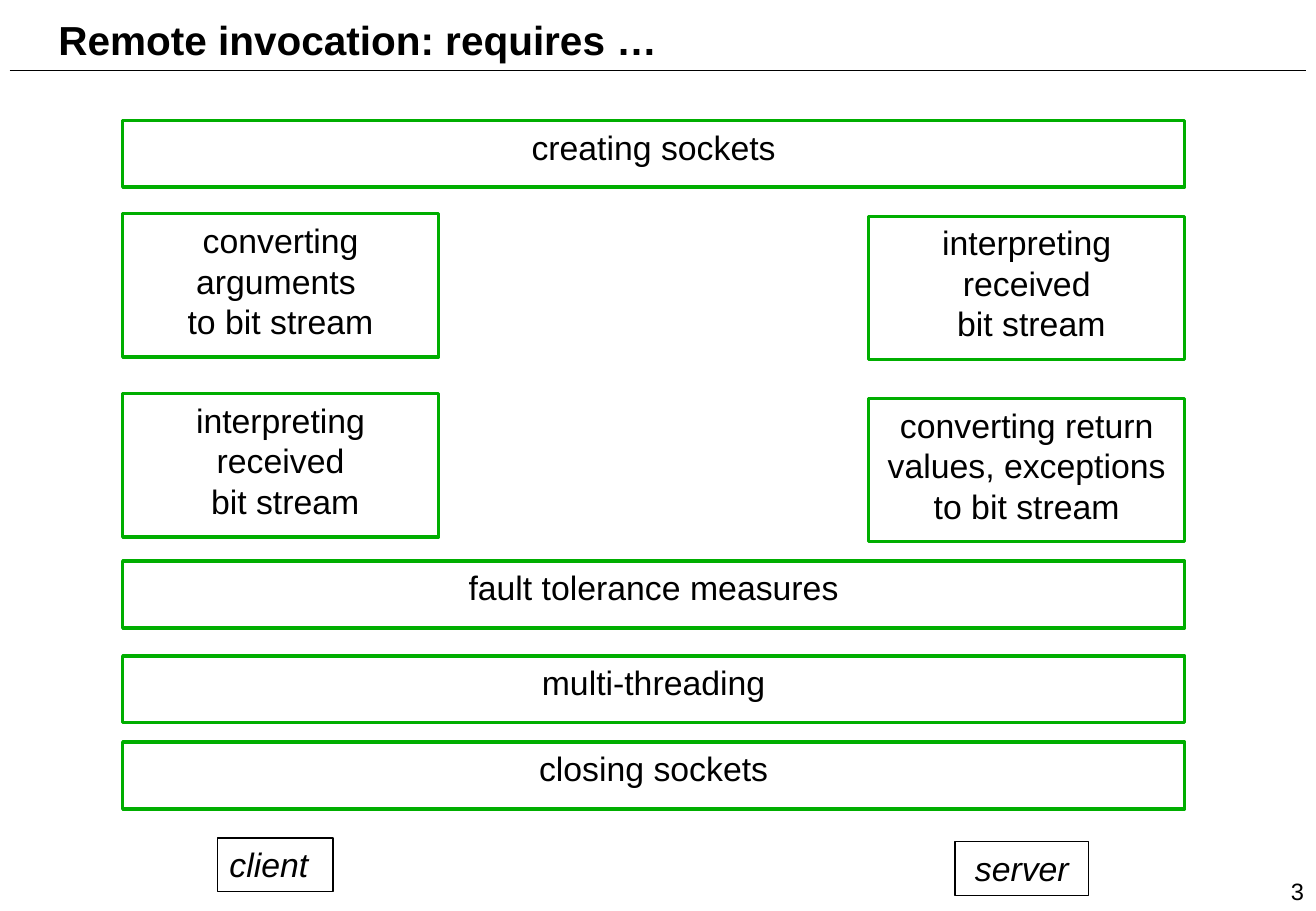
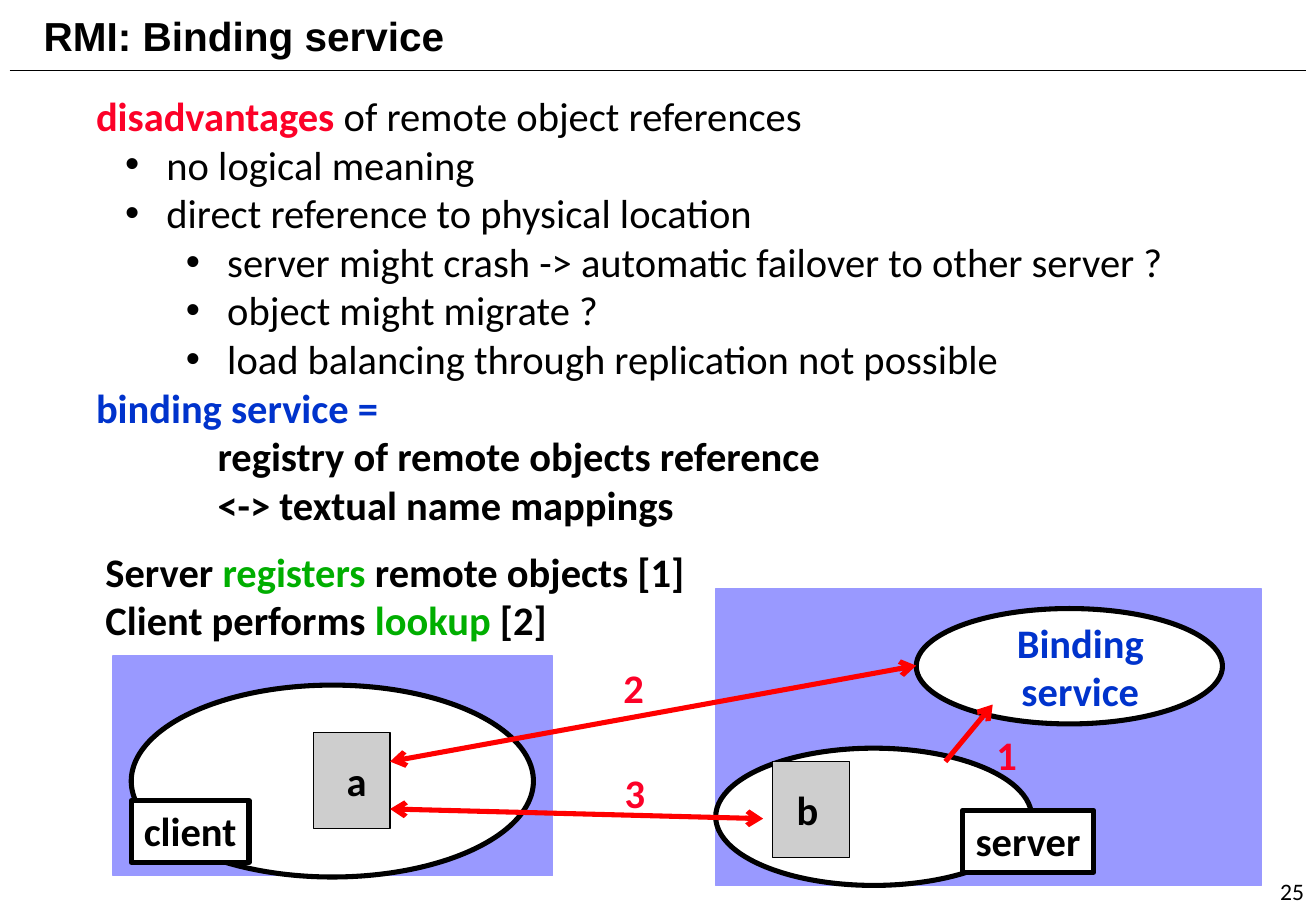
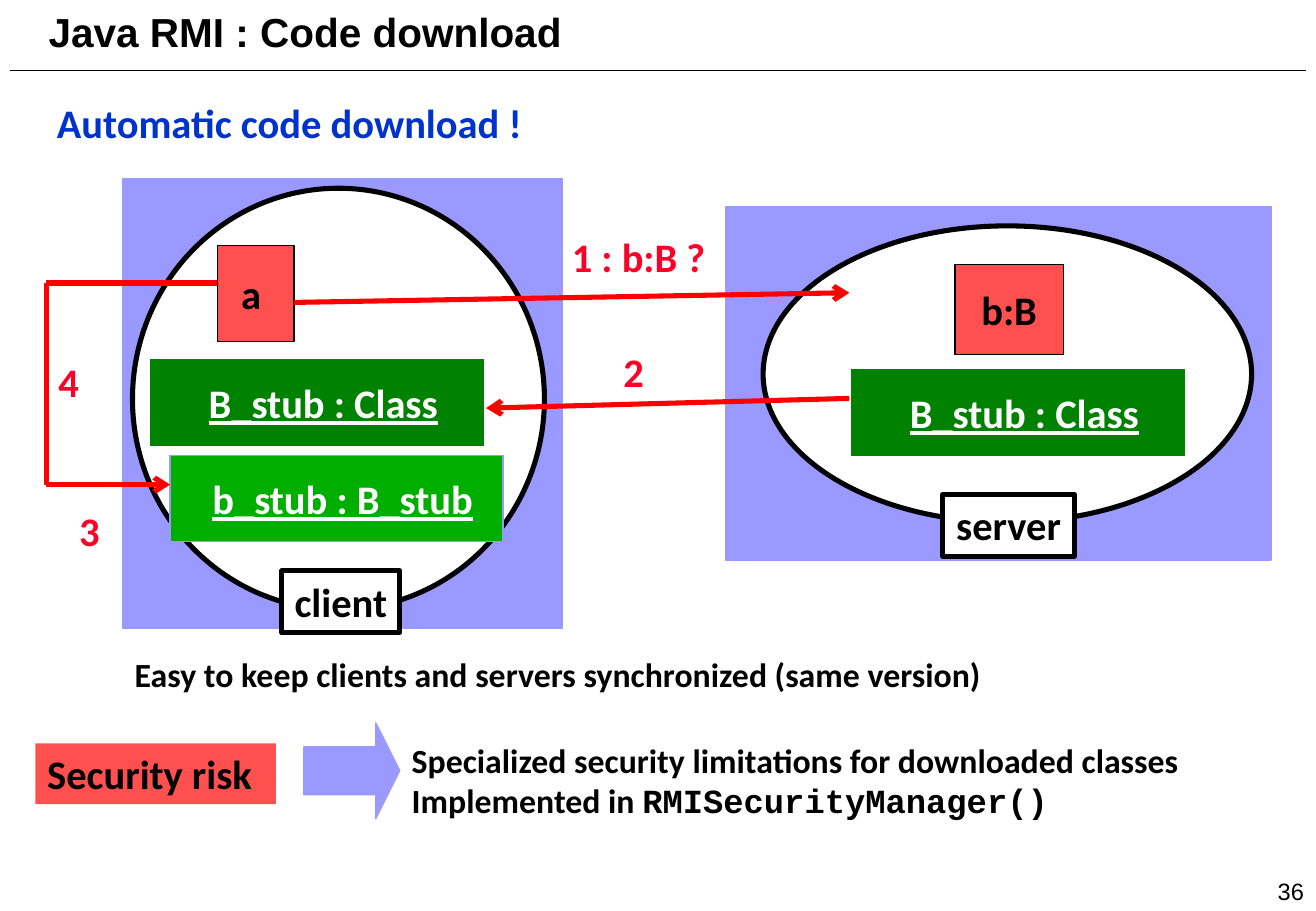
from dataclasses import dataclass
from itertools import pairwise

from lxml.etree import SubElement
from pptx import Presentation
from pptx.dml.color import RGBColor
from pptx.enum.shapes import MSO_CONNECTOR, MSO_SHAPE
from pptx.enum.text import MSO_ANCHOR, MSO_AUTO_SIZE, PP_ALIGN
from pptx.oxml.ns import qn
from pptx.util import Inches, Pt

BLACK = RGBColor(0x00, 0x00, 0x00)
WHITE = RGBColor(0xFF, 0xFF, 0xFF)
GREEN = RGBColor(0x00, 0xAE, 0x00)
DARK_GREEN = RGBColor(0x00, 0x82, 0x00)
LILAC = RGBColor(0x99, 0x99, 0xFF)
GREY = RGBColor(0xCE, 0xCE, 0xCE)
SALMON = RGBColor(0xFF, 0x50, 0x50)
BLUE = RGBColor(0x00, 0x33, 0xCC)
CRIMSON = RGBColor(0xFC, 0x01, 0x28)
RED = RGBColor(0xFF, 0x00, 0x00)
SANS, BODY, MONO = "Arial", "Calibri", "Courier New"
TITLE_AND_CONTENT, TITLE_ONLY = 1, 5
TAG_HEIGHT = 0.51


@dataclass
class Box:
    """A rectangle in inches."""
    left: float
    top: float
    width: float
    height: float

    def inside(self, dx, dy, width, height):
        """Return a box offset from this one's corner."""
        return Box(self.left + dx, self.top + dy, width, height)

    def lengths(self):
        """Return the four lengths for python-pptx."""
        return [Inches(v) for v in (self.left, self.top, self.width, self.height)]


def style(run, size=24, color=BLACK, font=BODY, bold=True, italic=False, underline=False):
    """Format one run."""
    run.font.size = Pt(size)
    run.font.name = font
    run.font.bold = bold
    run.font.italic = italic
    run.font.underline = underline
    run.font.color.rgb = color


def write(frame, text, align=PP_ALIGN.CENTER, anchor=MSO_ANCHOR.TOP, wrap=False, **look):
    """Fill a text frame with evenly styled text."""
    frame.text = text
    frame.word_wrap = wrap
    frame.auto_size = MSO_AUTO_SIZE.NONE
    frame.vertical_anchor = anchor
    for paragraph in frame.paragraphs:
        paragraph.alignment = align
        for run in paragraph.runs:
            style(run, **look)


def write_spans(paragraph, spans):
    """Add runs, each with its own look, to a paragraph."""
    for text, look in spans:
        run = paragraph.add_run()
        run.text = text
        style(run, **look)


def add_text(slide, box, text, **look):
    """Place a text box and return its frame."""
    frame = slide.shapes.add_textbox(*box.lengths()).text_frame
    write(frame, text, **look)
    return frame


def add_lines(slide, box, lines):
    """Place a left-aligned text box of mixed runs."""
    frame = add_text(slide, box, "", wrap=True)
    for index, spans in enumerate(lines):
        paragraph = frame.add_paragraph() if index else frame.paragraphs[0]
        paragraph.alignment = PP_ALIGN.LEFT
        write_spans(paragraph, spans)


def add_figure(slide, kind, box, fill=None, outline=None, weight=0.75,
               text=None, shift=0, **look):
    """Place a preset shape, with its text moved right by shift."""
    figure = slide.shapes.add_shape(kind, *box.lengths())
    figure.shadow.inherit = False
    if fill is None:
        figure.fill.background()
    else:
        figure.fill.solid()
        figure.fill.fore_color.rgb = fill
    if outline is None:
        figure.line.fill.background()
    else:
        figure.line.color.rgb = outline
        figure.line.width = Pt(weight)
    if text:
        figure.text_frame.margin_left = Inches(0.1 + 2 * shift)
        write(figure.text_frame, text, **look)
    return figure


def add_line(slide, start, end, color=RED, weight=3, head=False, tail=False):
    """Draw a straight line with optional open arrowheads."""
    line = slide.shapes.add_connector(
        MSO_CONNECTOR.STRAIGHT, *(Inches(v) for v in (*start, *end)))
    line.line.color.rgb = color
    line.line.width = Pt(weight)
    for wanted, name in ((head, "a:headEnd"), (tail, "a:tailEnd")):
        if wanted:
            SubElement(line.line._get_or_add_ln(), qn(name), type="arrow")
    SubElement(line.element.spPr, qn("a:effectLst"))
    return line


def add_route(slide, points):
    """Draw an angled route that ends in an arrowhead."""
    legs = list(pairwise(points))
    for leg in legs:
        add_line(slide, *leg, tail=leg == legs[-1])


def add_step(slide, left, top, text, width=0.37):
    """Place the number of a step beside its arrow."""
    add_text(slide, Box(left, top, width, TAG_HEIGHT), text, color=CRIMSON)


def new_slide(prs, layout, title, left, top, number, number_font=SANS):
    """Start a slide with its title and page number."""
    slide = prs.slides.add_slide(prs.slide_layouts[layout])
    heading = slide.shapes.title
    heading.left, heading.top, heading.width, heading.height = Box(
        left, top, 6.37, 0.52).lengths()
    write(heading.text_frame, title, align=PP_ALIGN.LEFT, anchor=MSO_ANCHOR.MIDDLE,
          wrap=True, font=SANS)
    add_text(slide, Box(8.75, 7, 2.08, 0.5), number, align=PP_ALIGN.RIGHT,
             anchor=MSO_ANCHOR.BOTTOM, wrap=True, size=14, font=number_font, bold=False)
    return slide


def add_machine(slide, area, process, tag, name, thing, thing_name, thing_fill, shift=0):
    """Draw a machine with its process, the object in it and a name tag."""
    add_figure(slide, MSO_SHAPE.RECTANGLE, area, LILAC, LILAC)
    add_figure(slide, MSO_SHAPE.OVAL, area.inside(*process), WHITE, BLACK, 3)
    add_figure(slide, MSO_SHAPE.RECTANGLE, area.inside(*thing), thing_fill, BLACK,
               text=thing_name, shift=shift, anchor=MSO_ANCHOR.MIDDLE)
    width = {"client": 0.97, "server": 1.08}[name]
    add_figure(slide, MSO_SHAPE.RECTANGLE, area.inside(*tag, width, TAG_HEIGHT),
               WHITE, BLACK, 3, text=name)


def add_stub(slide, area, dx, dy, text, fill, outline, shift):
    """Draw a stub bar inside a machine."""
    add_figure(slide, MSO_SHAPE.RECTANGLE, area.inside(dx, dy, 2.74, 0.71), fill, outline,
               text=text, shift=shift, anchor=MSO_ANCHOR.MIDDLE, color=WHITE, underline=True)


def add_requirements(slide, area):
    """Draw the shared bands and the tasks of client and server."""
    side, server = 2.6, area.width - 2.6
    parts = [
        (0, 0, area.width, 0.55, "creating sockets"),
        (0, 0.77, side, 1.18, "converting arguments \vto bit stream"),
        (server, 0.79, side, 1.18, "interpreting received\v bit stream"),
        (0, 2.25, side, 1.18, "interpreting received\v bit stream"),
        (server, 2.29, side, 1.18, "converting return values, exceptions to bit stream"),
        (0, 3.63, area.width, 0.55, "fault tolerance measures"),
        (0, 4.41, area.width, 0.55, "multi-threading"),
        (0, 5.12, area.width, 0.55, "closing sockets"),
    ]
    for *place, text in parts:
        add_figure(slide, MSO_SHAPE.RECTANGLE, area.inside(*place), WHITE, GREEN, 2,
                   text=text, wrap=True, size=20, font=SANS, bold=False)
    for dx, dy, width, name, align in ((0.78, 5.91, 0.95, "client", PP_ALIGN.LEFT),
                                       (6.85, 5.94, 1.1, "server", PP_ALIGN.CENTER)):
        add_figure(slide, MSO_SHAPE.RECTANGLE, area.inside(dx, dy, width, 0.44),
                   outline=BLACK, text=name, align=align, wrap=True,
                   size=20, font=SANS, bold=False, italic=True)


def fill_binding_list(body, box):
    """Fill the body placeholder with the notes on binding."""
    plain = {"bold": False}
    items = [
        (0, False, [("disadvantages", {"color": CRIMSON}),
                    (" of remote object references", plain)]),
        (1, True, [("no logical meaning", plain)]),
        (1, True, [("direct reference to physical location", plain)]),
        (2, True, [("server might crash -> automatic failover to other server ?", plain)]),
        (2, True, [("object might migrate ?", plain)]),
        (2, True, [("load balancing through replication not possible", plain)]),
        (0, False, [("binding service =", {"color": BLUE})]),
        (2, False, [("registry of remote objects reference", {})]),
        (2, False, [("<-> textual name mappings", {})]),
    ]
    body.left, body.top, body.width, body.height = box.lengths()
    frame = body.text_frame
    frame.word_wrap = True
    frame.auto_size = MSO_AUTO_SIZE.NONE
    for index, (level, bulleted, spans) in enumerate(items):
        paragraph = frame.add_paragraph() if index else frame.paragraphs[0]
        paragraph.level = level
        paragraph.space_before = Pt(0)
        margin = 0.5 * level + (0.08 if bulleted else 0)
        properties = paragraph._p.get_or_add_pPr()
        properties.set("marL", str(Inches(margin)))
        properties.set("indent", str(Inches(-0.34 if bulleted else 0)))
        if bulleted:
            SubElement(properties, qn("a:buFont"), typeface=SANS)
            SubElement(properties, qn("a:buChar"), char="•")
        else:
            SubElement(properties, qn("a:buNone"))
        write_spans(paragraph, spans)


def add_security_note(slide, area):
    """Draw the risk, an arrow and the measures that follow from it."""
    add_figure(slide, MSO_SHAPE.RECTANGLE, area.inside(0, 0.17, 1.98, 0.5), SALMON,
               text="Security risk", align=PP_ALIGN.LEFT)
    arrow = add_figure(slide, MSO_SHAPE.RIGHT_ARROW, area.inside(2.21, 0, 0.79, 0.79),
                       LILAC, LILAC)
    arrow.adjustments[0], arrow.adjustments[1] = 0.5, 0.25
    add_lines(slide, area.inside(3, 0.09, 7, 0.77), [
        [("Specialized security limitations for downloaded classes", {"size": 20})],
        [("Implemented in ", {"size": 20}),
         ("RMISecurityManager()", {"size": 20, "font": MONO})],
    ])


def requirements_slide(prs):
    """Build the slide on what remote invocation requires."""
    slide = new_slide(prs, TITLE_ONLY, "Remote invocation: requires …", 0.38, 0.06, "3")
    add_requirements(slide, Box(1.01, 0.99, 8.74, 5.67))
    return slide


def binding_slide(prs):
    """Build the slide on the binding service."""
    slide = new_slide(prs, TITLE_AND_CONTENT, "RMI: Binding service", 0.26, 0.03, "25", BODY)
    fill_binding_list(slide.placeholders[1], Box(0.69, 0.7, 9.23, 3.75))
    add_lines(slide, Box(0.77, 4.45, 5.2, 0.91), [
        [("Server ", {}), ("registers", {"color": GREEN}), (" remote objects [1]", {})],
        [("Client performs ", {}), ("lookup ", {"color": GREEN}), ("[2]", {})],
    ])
    client = Box(0.93, 5.4, 3.62, 1.81)
    server = Box(5.89, 4.85, 4.49, 2.44)
    add_machine(slide, client, (0.15, 0.24, 3.31, 1.58), (0.15, 1.19), "client",
                (1.65, 0.63, 0.63, 0.79), "a", GREY, 0.04)
    add_machine(slide, server, (0, 1.31, 2.6, 1.13), (2.03, 1.82), "server",
                (0.47, 1.42, 0.63, 0.79), "b", GREY, -0.03)
    add_figure(slide, MSO_SHAPE.OVAL, server.inside(1.65, 0.16, 2.52, 0.95), WHITE, BLACK, 3,
               text="Binding\vservice", shift=0.09, anchor=MSO_ANCHOR.MIDDLE, color=BLUE)
    add_line(slide, (3.21, 6.27), (7.54, 5.48), head=True, tail=True)
    add_line(slide, (8.17, 5.8), (7.78, 6.27), head=True)
    add_line(slide, (3.21, 6.66), (6.28, 6.74), head=True, tail=True)
    add_step(slide, 8.1, 5.96, "1")
    add_step(slide, 5.03, 5.41, "2")
    add_step(slide, 5.04, 6.27, "3")


def download_slide(prs):
    """Build the slide on code download."""
    slide = new_slide(prs, TITLE_ONLY, "Java RMI : Code download", 0.3, 0, "36")
    add_text(slide, Box(0.37, 0.76, 4.5, 0.51), "Automatic code download !",
             align=PP_ALIGN.LEFT, wrap=True, color=BLUE)
    client = Box(1.01, 1.47, 3.62, 3.7)
    server = Box(5.97, 1.7, 4.49, 2.91)
    add_machine(slide, client, (0.08, 0.08, 3.39, 3.47), (1.31, 3.23), "client",
                (0.78, 0.55, 0.63, 0.79), "a", SALMON, -0.04)
    add_machine(slide, server, (0.31, 0.16, 4.02, 2.44), (1.79, 2.37), "server",
                (1.89, 0.48, 0.89, 0.74), "b:B", SALMON)
    add_stub(slide, client, 0.23, 1.49, "B_stub : Class", DARK_GREEN, DARK_GREEN, 0.05)
    add_stub(slide, client, 0.39, 2.28, "b_stub : B_stub", GREEN, LILAC, 0.05)
    add_stub(slide, server, 1.04, 1.34, "B_stub : Class", DARK_GREEN, DARK_GREEN, 0.05)
    add_line(slide, (2.42, 2.49), (6.99, 2.41), tail=True)
    add_line(slide, (4, 3.36), (6.99, 3.28), head=True)
    add_route(slide, [(1.79, 2.33), (0.38, 2.33), (0.38, 3.99), (1.4, 3.99)])
    add_step(slide, 4.6, 1.86, "1 : b:B ?", 1.31)
    add_step(slide, 5.03, 2.81, "2")
    add_step(slide, 0.55, 4.12, "3")
    add_step(slide, 0.38, 2.89, "4")
    add_text(slide, Box(1.01, 5.33, 7.6, 0.44),
             "Easy to keep clients and servers synchronized (same version)",
             align=PP_ALIGN.LEFT, wrap=True, size=20)
    add_security_note(slide, Box(0.29, 5.95, 10, 0.86))


def main():
    """Build the deck, with the title rule on the master."""
    prs = Presentation()
    prs.slide_width, prs.slide_height = Inches(10.83), Inches(7.5)
    first = requirements_slide(prs)
    rule = add_line(first, (0.08, 0.58), (10.75, 0.58), BLACK, 1)
    prs.slide_master.shapes.element.append(rule.element)
    binding_slide(prs)
    download_slide(prs)
    prs.save("out.pptx")


if __name__ == "__main__":
    main()
